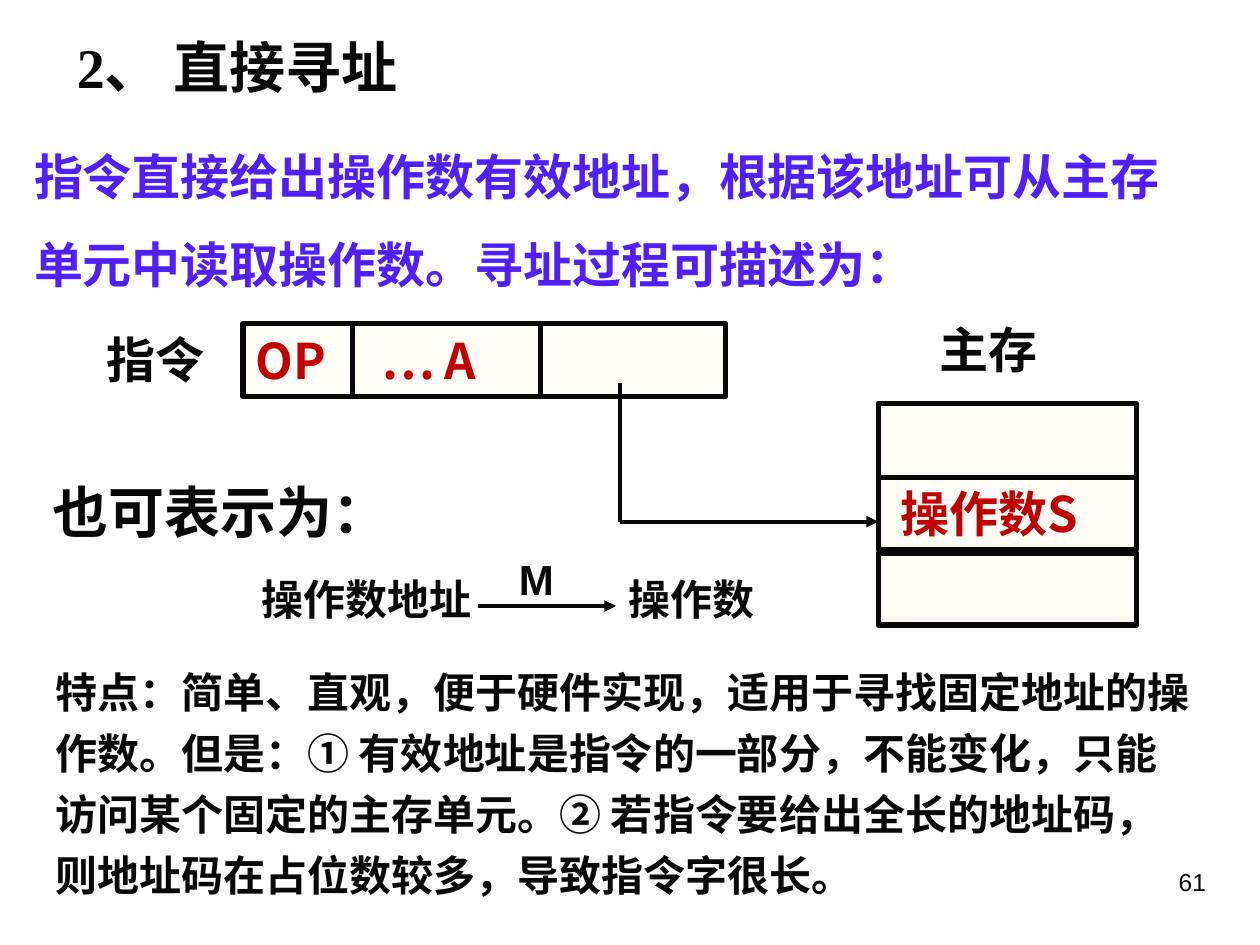
from lxml.etree import SubElement
from pptx import Presentation
from pptx.dml.color import RGBColor
from pptx.enum.shapes import MSO_CONNECTOR as Connector, MSO_SHAPE as Shape
from pptx.enum.text import MSO_ANCHOR as Anchor, MSO_AUTO_SIZE as AutoSize, PP_ALIGN as Align
from pptx.oxml.ns import qn
from pptx.util import Inches, Pt

COLORS = {"ink": "080808", "cell": "FEFEF6", "value": "C00000",
          "intro": "4F20FA", "paper": "FFFFFF"}
COLUMNS, ROWS = 100, 75
SLIDE_WIDTH, SLIDE_HEIGHT = Inches(10), Inches(7.5)
CJK, ROMAN, SANS = "Noto Sans CJK SC", "Times New Roman", "Arial"
FRAME_FORMAT = {"word_wrap": True, "auto_size": AutoSize.NONE, "vertical_anchor": Anchor.TOP,
                "margin_left": Inches(0.1), "margin_right": Inches(0.1),
                "margin_top": Inches(0.05), "margin_bottom": Inches(0.05)}

INSTRUCTION_LEFT, INSTRUCTION_TOP, INSTRUCTION_HEIGHT = 19.3, 25.7, 5.75
FIELD_DIVIDERS = (28, 42.9)
FIELD_TABS = (0.9, 1.81)
MEMORY_LEFT, MEMORY_WIDTH = 69.7, 20.5
MEMORY_CELLS = ((32, 6.1, ""), (37.9, 5.7, "操作数S"), (43.9, 5.7, ""))
ADDRESS_X, OPERAND_Y = 49.2, 41.4

LABELS = (
    ((7.5, 25.7, 11.4, 5.7), "指令", 28, ROMAN),
    ((73.6, 24.9, 14.2, 5.7), "主存", 28, SANS),
    ((3.2, 37.4, 33.1, 6.4), "也可表示为：", 32, CJK),
    ((19.8, 45, 26, 5), "操作数地址", 24, SANS),
    ((48.9, 45, 15, 5), "操作数", 24, SANS),
    ((40.2, 43.4, 6.3, 5), "M", 24, SANS),
)
INTRO = "指令直接给出操作数有效地址，根据该地址可从主存单元中读取操作数。寻址过程可描述为："
FEATURES = ("特点：简单、直观，便于硬件实现，适用于寻找固定地址的操作数。但是："
            "① 有效地址是指令的一部分，不能变化，只能访问某个固定的主存单元。"
            "② 若指令要给出全长的地址码，则地址码在占位数较多，导致指令字很长。")


def color(name):
    return RGBColor.from_string(COLORS[name])


def on_grid(column, row):
    return int(SLIDE_WIDTH * column / COLUMNS), int(SLIDE_HEIGHT * row / ROWS)


def box_on_grid(box):
    return *on_grid(*box[:2]), *on_grid(*box[2:])


def apply(target, values):
    for name, value in values.items():
        setattr(target, name, value)


def write(shape, text, size, face, ink="ink", bold=True, tabs=(), align=Align.LEFT,
          spacing=1.0, **frame_format):
    frame = shape.text_frame
    apply(frame, FRAME_FORMAT | frame_format)
    frame.text = text
    paragraph = frame.paragraphs[0]
    properties = paragraph._p.get_or_add_pPr()
    properties.set("marL", "0")
    properties.set("indent", "0")
    SubElement(properties, qn("a:buNone"))
    if tabs:
        stops = SubElement(properties, qn("a:tabLst"))
        for stop in tabs:
            SubElement(stops, qn("a:tab"), pos=str(Inches(stop)), algn="l")
    apply(paragraph, {"alignment": align, "space_before": Pt(0), "line_spacing": spacing})
    for run in paragraph.runs:
        apply(run.font, {"size": Pt(size), "bold": bold, "name": face})
        run.font.color.rgb = color(ink)
        SubElement(run._r.get_or_add_rPr(), qn("a:ea"), typeface=CJK)


def fill_placeholder(placeholder, box, text, size, face, **text_format):
    apply(placeholder, dict(zip(("left", "top", "width", "height"), box_on_grid(box))))
    write(placeholder, text, size, face, **text_format)


def add_label(slide, box, text, size, face, **text_format):
    write(slide.shapes.add_textbox(*box_on_grid(box)), text, size, face, **text_format)


def add_cell(slide, box, text="", **text_format):
    cell = slide.shapes.add_shape(Shape.RECTANGLE, *box_on_grid(box))
    cell.shadow.inherit = False
    cell.fill.solid()
    cell.fill.fore_color.rgb = color("cell")
    cell.line.color.rgb = color("ink")
    cell.line.width = Pt(3)
    if text:
        write(cell, text, 28, CJK, ink="value", **text_format)


def add_line(slide, start, end, width=2.25, arrow=False):
    line = slide.shapes.add_connector(Connector.STRAIGHT, *on_grid(*start), *on_grid(*end))
    line.line.color.rgb = color("ink")
    line.line.width = Pt(width)
    if arrow:
        SubElement(line.line._get_or_add_ln(), qn("a:tailEnd"), type="triangle")
    SubElement(line._element.spPr, qn("a:effectLst"))


def add_instruction(slide):
    add_cell(slide, (INSTRUCTION_LEFT, INSTRUCTION_TOP, 38.3, INSTRUCTION_HEIGHT),
             "OP\t…\tA", tabs=FIELD_TABS)
    for x in FIELD_DIVIDERS:
        add_line(slide, (x, INSTRUCTION_TOP), (x, INSTRUCTION_TOP + INSTRUCTION_HEIGHT), 3)


def add_memory(slide):
    for top, height, content in MEMORY_CELLS:
        add_cell(slide, (MEMORY_LEFT, top, MEMORY_WIDTH, height), content,
                 margin_left=Inches(0.18))


def main():
    deck = Presentation()
    deck.slide_width, deck.slide_height = SLIDE_WIDTH, SLIDE_HEIGHT
    slide = deck.slides.add_slide(deck.slide_layouts.get_by_name("Two Content"))
    title, intro, features = list(slide.placeholders)[:3]

    fill_placeholder(title, (5.1, 2.1, 40, 6.4), "2、 直接寻址", 32, ROMAN)
    fill_placeholder(intro, (1.7, 8.8, 91.4, 15), INTRO, 28, ROMAN, ink="intro", spacing=1.5)
    intro.fill.solid()
    intro.fill.fore_color.rgb = color("paper")
    fill_placeholder(features, (3.4, 51.5, 92.7, 20.5), FEATURES, 24, SANS, spacing=Pt(35))

    add_instruction(slide)
    add_memory(slide)
    for label in LABELS:
        add_label(slide, *label)
    add_line(slide, (ADDRESS_X, 30.4), (ADDRESS_X, OPERAND_Y))
    add_line(slide, (ADDRESS_X, OPERAND_Y), (MEMORY_LEFT, OPERAND_Y), arrow=True)
    add_line(slide, (37.9, 48.1), (48.9, 48.1), arrow=True)
    add_label(slide, (71.7, 68.3, 25, 5.2), "61", 14, SANS, bold=False, align=Align.RIGHT)
    deck.save("out.pptx")


if __name__ == "__main__":
    main()
